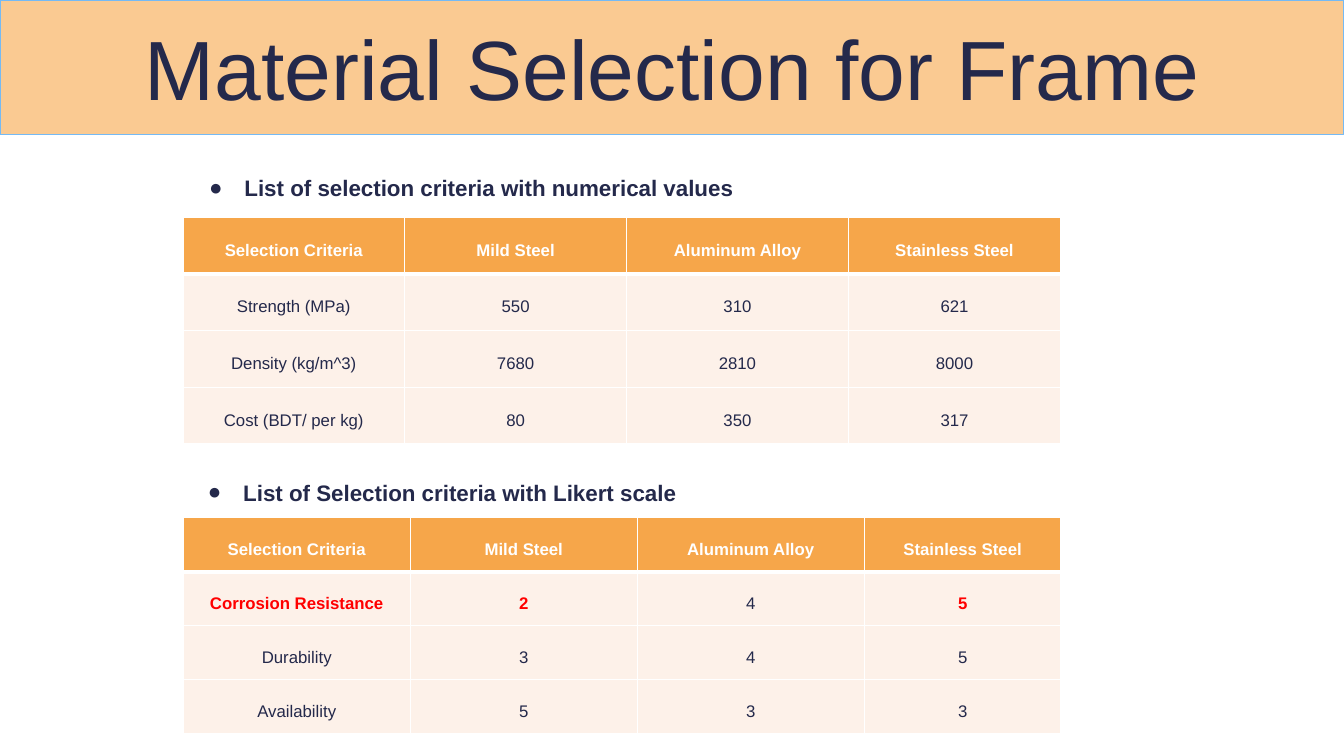
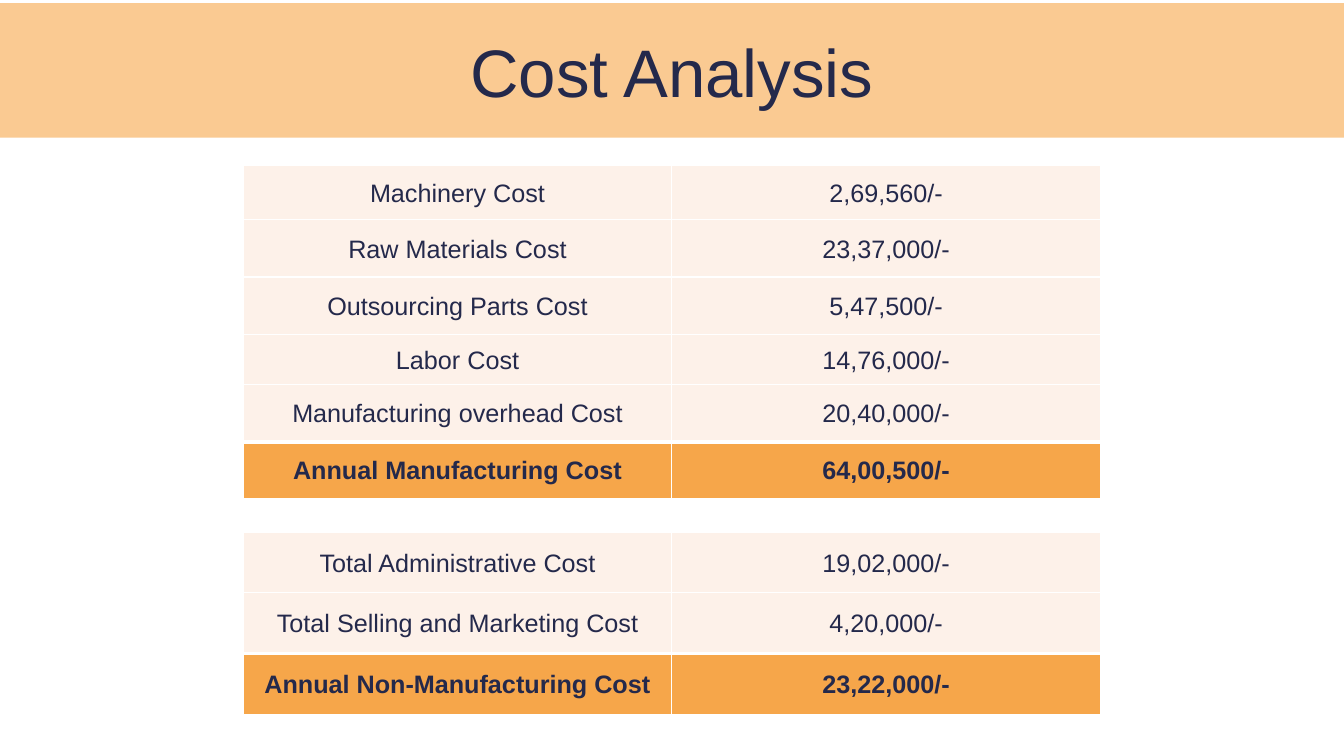
from lxml import etree
from pptx import Presentation
from pptx.dml.color import RGBColor
from pptx.enum.text import MSO_ANCHOR, MSO_AUTO_SIZE, PP_ALIGN
from pptx.oxml.ns import qn
from pptx.util import Cm, Pt

MIDDLE = MSO_ANCHOR.MIDDLE
TOP = MSO_ANCHOR.TOP
NO_AUTOFIT = MSO_AUTO_SIZE.NONE
CENTER = PP_ALIGN.CENTER
LEFT = PP_ALIGN.LEFT

NAVY = RGBColor(0x24, 0x29, 0x4B)
WHITE = RGBColor(0xFF, 0xFF, 0xFF)
RED = RGBColor(0xFF, 0x00, 0x00)
PEACH = RGBColor(0xFA, 0xCA, 0x92)
ORANGE = RGBColor(0xF6, 0xA6, 0x4A)
CREAM = RGBColor(0xFD, 0xF1, 0xE9)
SKY = RGBColor(0x75, 0xBA, 0xF4)

FONT = "Arial"
SLIDE_WIDTH = Cm(33.87)
SLIDE_HEIGHT = Cm(19.05)
TWO_CONTENT_LAYOUT = 3
TITLE_ONLY_LAYOUT = 5

MATERIALS = ["Selection Criteria", "Mild Steel", "Aluminum Alloy", "Stainless Steel"]
NUMERICAL_ROWS = [
    MATERIALS,
    ["Strength (MPa)", "550", "310", "621"],
    ["Density (kg/m^3)", "7680", "2810", "8000"],
    ["Cost (BDT/ per kg)", "80", "350", "317"],
]
LIKERT_ROWS = [
    MATERIALS,
    ["Corrosion Resistance", "2", "4", "5"],
    ["Durability", "3", "4", "5"],
    ["Availability", "5", "3", "3"],
]
LIKERT_HIGHLIGHTS = {(1, 0), (1, 1), (1, 3)}
MANUFACTURING_ROWS = [
    ["Machinery Cost", "2,69,560/-"],
    ["Raw Materials Cost", "23,37,000/-"],
    ["Outsourcing Parts Cost", "5,47,500/-"],
    ["Labor Cost", "14,76,000/-"],
    ["Manufacturing overhead Cost", "20,40,000/-"],
    ["Annual Manufacturing Cost", "64,00,500/-"],
]
NON_MANUFACTURING_ROWS = [
    ["Total Administrative Cost", "19,02,000/-"],
    ["Total Selling and Marketing Cost", "4,20,000/-"],
    ["Annual Non-Manufacturing Cost", "23,22,000/-"],
]


def style_paragraph(paragraph, size, color, bold=False, alignment=CENTER, spacing=1.0):
    paragraph.alignment = alignment
    paragraph.line_spacing = spacing
    paragraph.space_before = Pt(0)
    font = paragraph.font
    font.name = FONT
    font.size = Pt(size)
    font.bold = bold
    font.color.rgb = color


def fill_placeholder(placeholder, text, left, top, width, height, anchor):
    placeholder.left, placeholder.top = left, top
    placeholder.width, placeholder.height = width, height
    frame = placeholder.text_frame
    frame.text = text
    frame.word_wrap = True
    frame.auto_size = NO_AUTOFIT
    frame.vertical_anchor = anchor
    frame.margin_left = frame.margin_right = Cm(0.25)
    frame.margin_top = frame.margin_bottom = Cm(0.25)
    return frame.paragraphs[0]


def set_title(slide, text, size, top=Cm(0), outline=None):
    title = slide.shapes.title
    paragraph = fill_placeholder(title, text, Cm(0), top, SLIDE_WIDTH, Cm(3.39), MIDDLE)
    style_paragraph(paragraph, size, NAVY)
    title.fill.solid()
    title.fill.fore_color.rgb = PEACH
    if outline is None:
        title.line.fill.background()
    else:
        title.line.color.rgb = outline
        title.line.width = Pt(0.75)


def add_bullet(paragraph):
    properties = paragraph._p.get_or_add_pPr()
    properties.set("marL", str(Cm(1.27)))
    properties.set("indent", str(-Cm(0.89)))
    color = etree.SubElement(properties, qn("a:buClr"))
    etree.SubElement(color, qn("a:srgbClr"), val=str(NAVY))
    etree.SubElement(properties, qn("a:buFont"), typeface=FONT)
    etree.SubElement(properties, qn("a:buChar"), char="●")


def set_list_heading(placeholder, text, left, top, anchor):
    paragraph = fill_placeholder(placeholder, text, left, top, Cm(22.12), Cm(1.32), anchor)
    add_bullet(paragraph)
    style_paragraph(paragraph, 16, NAVY, bold=True, alignment=LEFT)


def set_borders(cell, top_width, bottom_width):
    properties = cell._tc.get_or_add_tcPr()
    widths = {"lnL": 1, "lnR": 1, "lnT": top_width, "lnB": bottom_width}
    for edge, width in widths.items():
        line = etree.SubElement(properties, qn(f"a:{edge}"), w=str(Pt(width)))
        fill = etree.SubElement(line, qn("a:solidFill"))
        etree.SubElement(fill, qn("a:srgbClr"), val=str(WHITE))


def add_data_table(slide, rows, left, top, column_widths, row_heights, accent_row,
                   thick_edge, size, spacing, accent_color, highlights=()):
    table = slide.shapes.add_table(
        len(rows), len(column_widths), left, top,
        Cm(sum(column_widths)), Cm(sum(row_heights))).table
    table.first_row = table.horz_banding = False
    for column, width in zip(table.columns, column_widths):
        column.width = Cm(width)
    for row, height in zip(table.rows, row_heights):
        row.height = Cm(height)
    edge_widths = [3 if edge == thick_edge else 1 for edge in range(len(rows) + 1)]
    for row_index, row in enumerate(rows):
        accented = row_index == accent_row
        for column_index, text in enumerate(row):
            cell = table.cell(row_index, column_index)
            highlighted = (row_index, column_index) in highlights
            set_borders(cell, edge_widths[row_index], edge_widths[row_index + 1])
            cell.fill.solid()
            cell.fill.fore_color.rgb = ORANGE if accented else CREAM
            cell.vertical_anchor = MIDDLE
            cell.margin_left = cell.margin_right = Cm(0.19)
            cell.margin_top = cell.margin_bottom = 0
            cell.text = text
            color = RED if highlighted else accent_color if accented else NAVY
            style_paragraph(cell.text_frame.paragraphs[0], size, color,
                            bold=accented or highlighted, spacing=spacing)


def add_criteria_table(slide, rows, left, top, column_widths, row_height, highlights=()):
    add_data_table(slide, rows, left, top, column_widths, [row_height] * len(rows),
                   accent_row=0, thick_edge=1, size=12, spacing=1.5,
                   accent_color=WHITE, highlights=highlights)


def add_cost_table(slide, rows, top, row_heights):
    total_row = len(rows) - 1
    add_data_table(slide, rows, Cm(6.13), top, [10.8, 10.8], row_heights,
                   accent_row=total_row, thick_edge=total_row, size=18, spacing=1.07,
                   accent_color=NAVY)


def build_material_slide(presentation):
    slide = presentation.slides.add_slide(presentation.slide_layouts[TWO_CONTENT_LAYOUT])
    set_title(slide, "Material Selection for Frame", 60, outline=SKY)
    set_list_heading(slide.placeholders[1], "List of selection criteria with numerical values",
                     Cm(4.64), Cm(4.14), TOP)
    add_criteria_table(slide, NUMERICAL_ROWS, Cm(4.61), Cm(5.47),
                       [5.59, 5.59, 5.59, 5.35], 1.43)
    set_list_heading(slide.placeholders[2], "List of Selection criteria with Likert scale",
                     Cm(4.61), Cm(11.74), MIDDLE)
    add_criteria_table(slide, LIKERT_ROWS, Cm(4.62), Cm(13.05),
                       [5.72, 5.72, 5.72, 4.96], 1.36, LIKERT_HIGHLIGHTS)


def build_cost_slide(presentation):
    slide = presentation.slides.add_slide(presentation.slide_layouts[TITLE_ONLY_LAYOUT])
    set_title(slide, "Cost Analysis", 48, top=Cm(0.08))
    add_cost_table(slide, MANUFACTURING_ROWS, Cm(4.17), [1.37, 1.44, 1.44, 1.27, 1.44, 1.44])
    add_cost_table(slide, NON_MANUFACTURING_ROWS, Cm(13.41), [1.53] * 3)


def main():
    presentation = Presentation()
    presentation.slide_width = SLIDE_WIDTH
    presentation.slide_height = SLIDE_HEIGHT
    build_material_slide(presentation)
    build_cost_slide(presentation)
    presentation.save("out.pptx")


if __name__ == "__main__":
    main()
